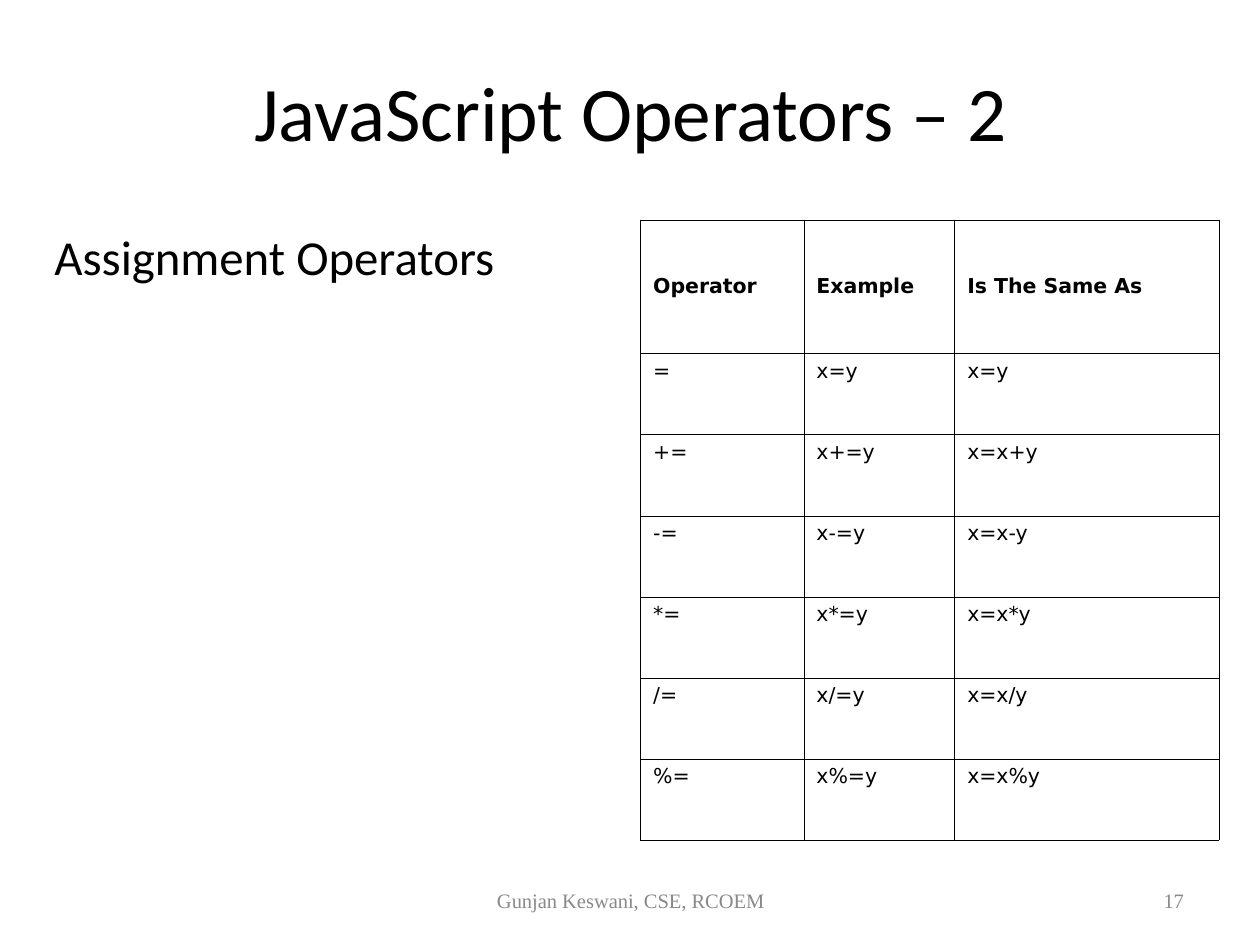
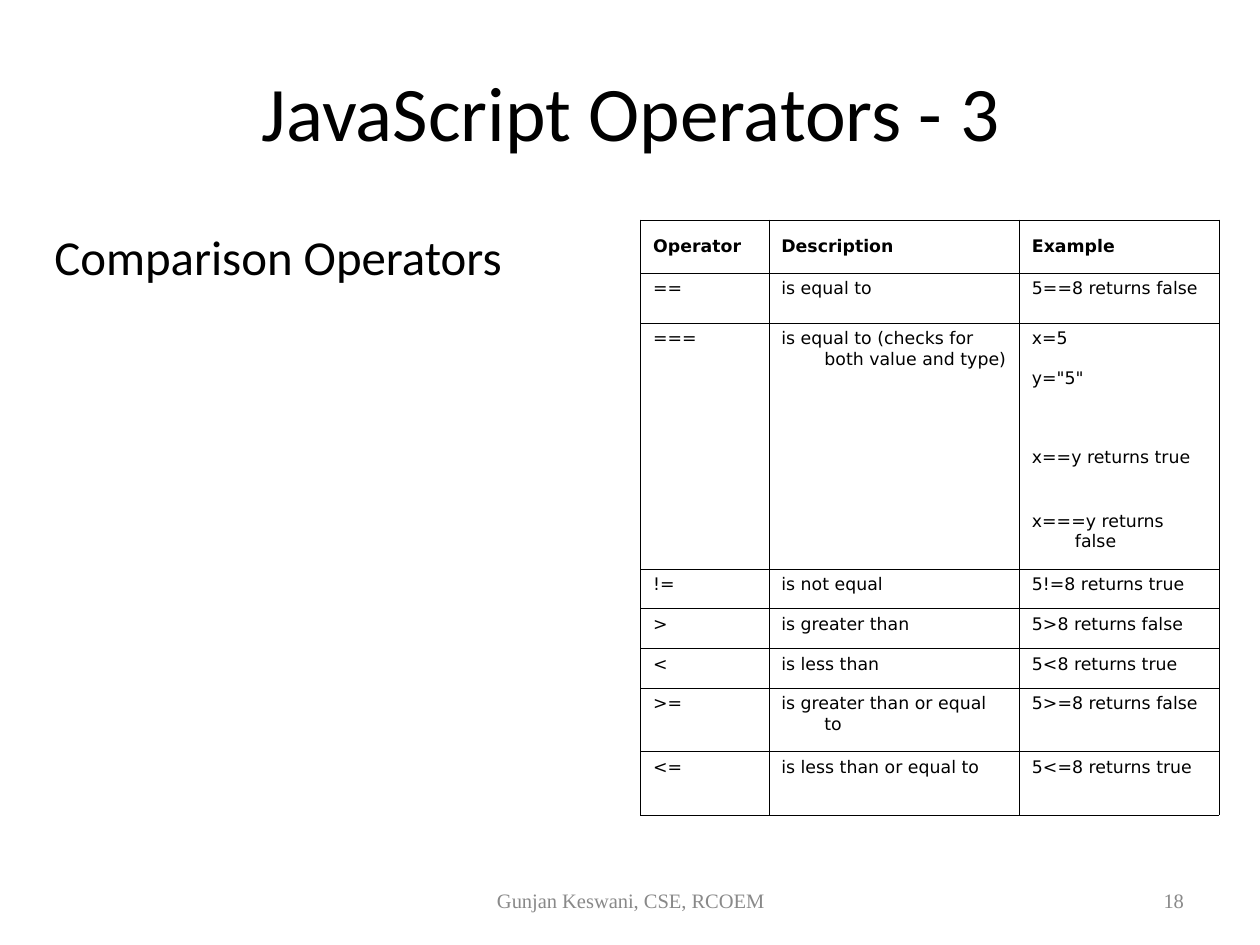
from pptx import Presentation
from pptx.dml.color import RGBColor
from pptx.enum.text import MSO_ANCHOR as Anchor, MSO_AUTO_SIZE as AutoSize, PP_ALIGN as Align
from pptx.oxml.ns import qn
from pptx.util import Inches, Pt
from lxml.etree import SubElement

COLORS = {"text": "000000", "paper": "FFFFFF", "border": "000000", "footer": "898989"}
FONTS = {"main": "Calibri", "table": "DejaVu Sans", "footer": "Times New Roman"}

# Regions: left, top, width, height in inches
TITLE_BOX = (0.37, 0.28, 10.38, 1.39)
BODY_BOX = (0.37, 1.94, 5.1, 5.47)
TABLE_BOX = (5.65, 1.94, 5.1, 5.47)
FOOTER_BOX = (3.8, 7.72, 3.52, 0.44)
NUMBER_BOX = (7.96, 7.72, 2.59, 0.44)
FOOTER = "Gunjan Keswani, CSE, RCOEM"

ASSIGNMENT = {
    "title": "JavaScript Operators – 2",
    "topic": "Assignment Operators",
    "number": "17",
    "size": 13,
    "columns": [1.44, 1.33, 2.33],
    "heights": [1.18] + [4.29 / 6] * 6,
    "rows": [("Operator", "Example", "Is The Same As"), ("=", "x=y", "x=y")]
    + [(f"{sign}=", f"x{sign}=y", f"x=x{sign}y") for sign in "+-*/%"],
}
COMPARISON = {
    "title": "JavaScript Operators - 3",
    "topic": "Comparison Operators",
    "number": "18",
    "size": 11,
    "columns": [1.13, 2.21, 1.76],
    "heights": [0.47, 0.44] + ([0.35] * 3 + [0.56] * 2) * 2,
    "rows": [
        ("Operator", "Description", "Example"),
        ("==", "is equal to", "5==8 returns false"),
        ("===", "is equal to (checks for both value and type)", "x=5"),
        ("", "", 'y="5"'),
        ("", "", ""),
        ("", "", "x==y returns true"),
        ("", "", "x===y returns false"),
        ("!=", "is not equal", "5!=8 returns true"),
        (">", "is greater than", "5>8 returns false"),
        ("<", "is less than", "5<8 returns true"),
        (">=", "is greater than or equal to", "5>=8 returns false"),
        ("<=", "is less than or equal to", "5<=8 returns true"),
    ],
    "group": (2, 6),
}


def place(shape, box):
    shape.left, shape.top, shape.width, shape.height = map(Inches, box)


def add_span(para, text, font, size, color, bold=False):
    span = para.add_run()
    span.text = text
    span.font.name = font
    span.font.size = Pt(size)
    span.font.bold = bold
    span.font.color.rgb = RGBColor.from_string(COLORS[color])


def hang(para, indent):
    """Hanging indent without a bullet."""
    props = para._p.get_or_add_pPr()
    props.set("marL", str(Inches(indent)))
    props.set("indent", str(-Inches(indent)))
    SubElement(props, qn("a:buNone"))


def prepare_frame(shape, anchor, align):
    frame = shape.text_frame
    frame.word_wrap = True
    frame.auto_size = AutoSize.NONE
    frame.vertical_anchor = anchor
    frame.margin_left = frame.margin_right = Inches(0.11)
    frame.margin_top = frame.margin_bottom = Inches(0.06)
    para = frame.paragraphs[0]
    para.alignment = align
    return para


def fill_title(page, box, text):
    place(page.shapes.title, box)
    para = prepare_frame(page.shapes.title, Anchor.MIDDLE, Align.CENTER)
    add_span(para, text, FONTS["main"], 49, "text")


def fill_body(page, box, text):
    body = page.placeholders[1]
    place(body, box)
    para = prepare_frame(body, Anchor.TOP, Align.LEFT)
    para.space_before = Pt(7.7)
    hang(para, 0.41)
    add_span(para, text, FONTS["main"], 31, "text")


def add_footer_text(page, box, text, align):
    shape = page.shapes.add_textbox(*map(Inches, box))
    para = prepare_frame(shape, Anchor.MIDDLE, align)
    add_span(para, text, FONTS["footer"], 13, "footer")


def set_borders(cell, hidden):
    props = cell._tc.get_or_add_tcPr()
    for side in "LRTB":
        line = SubElement(props, qn(f"a:ln{side}"), w=str(Pt(0.45)))
        if side in hidden:
            SubElement(line, qn("a:noFill"))
        else:
            fill = SubElement(line, qn("a:solidFill"))
            SubElement(fill, qn("a:srgbClr"), val=COLORS["border"])


def fill_cell(cell, text, size, header, hidden):
    set_borders(cell, hidden)
    cell.fill.solid()
    cell.fill.fore_color.rgb = RGBColor.from_string(COLORS["paper"])
    cell.vertical_anchor = Anchor.MIDDLE if header else Anchor.TOP
    cell.margin_left = cell.margin_right = Inches(0.11)
    cell.margin_top = cell.margin_bottom = Inches(0.05)
    para = cell.text_frame.paragraphs[0]
    hang(para, 0.38)
    if text:
        add_span(para, text, FONTS["table"], size, "text", header)
    else:  # keeps an empty row from growing
        SubElement(para._p, qn("a:endParaRPr"), sz=str(size * 100))


def add_operator_table(page, box, content):
    rows, columns, heights = content["rows"], content["columns"], content["heights"]
    left, top, width, _ = box
    area = map(Inches, (left, top, width, sum(heights)))
    table = page.shapes.add_table(len(rows), len(columns), *area).table
    table.first_row = table.horz_banding = False
    for column, size in zip(table.columns, columns):
        column.width = Inches(size)
    for row, size in zip(table.rows, heights):
        row.height = Inches(size)

    # Grouped rows share one outline; their first two columns are merged
    first, last = content.get("group", (0, 0))
    for r, texts in enumerate(rows):
        inner = ("T" if first < r <= last else "") + ("B" if first <= r < last else "")
        for c, text in enumerate(texts):
            hidden = "" if r == first and c < 2 else inner
            fill_cell(table.cell(r, c), text, content["size"], r == 0, hidden)
    if last > first:
        for c in range(2):
            table.cell(first, c).merge(table.cell(last, c))


def add_operator_page(deck, content):
    page = deck.slides.add_slide(deck.slide_layouts[1])
    fill_title(page, TITLE_BOX, content["title"])
    fill_body(page, BODY_BOX, content["topic"])
    add_operator_table(page, TABLE_BOX, content)
    add_footer_text(page, FOOTER_BOX, FOOTER, Align.CENTER)
    add_footer_text(page, NUMBER_BOX, content["number"], Align.RIGHT)


def main():
    deck = Presentation()
    deck.slide_width, deck.slide_height = Inches(100 / 9), Inches(8.335)
    for content in (ASSIGNMENT, COMPARISON):
        add_operator_page(deck, content)
    deck.save("out.pptx")


if __name__ == "__main__":
    main()
